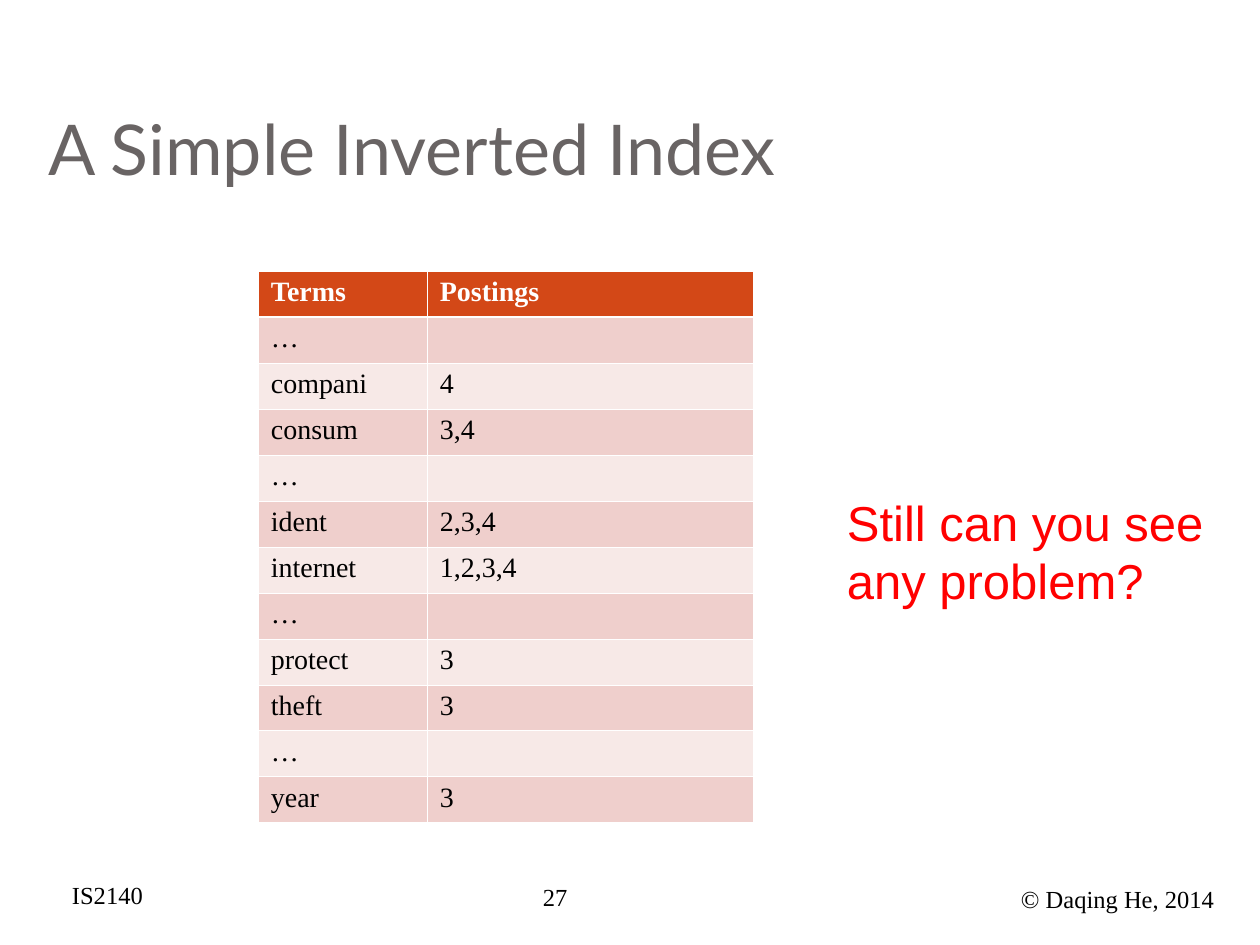
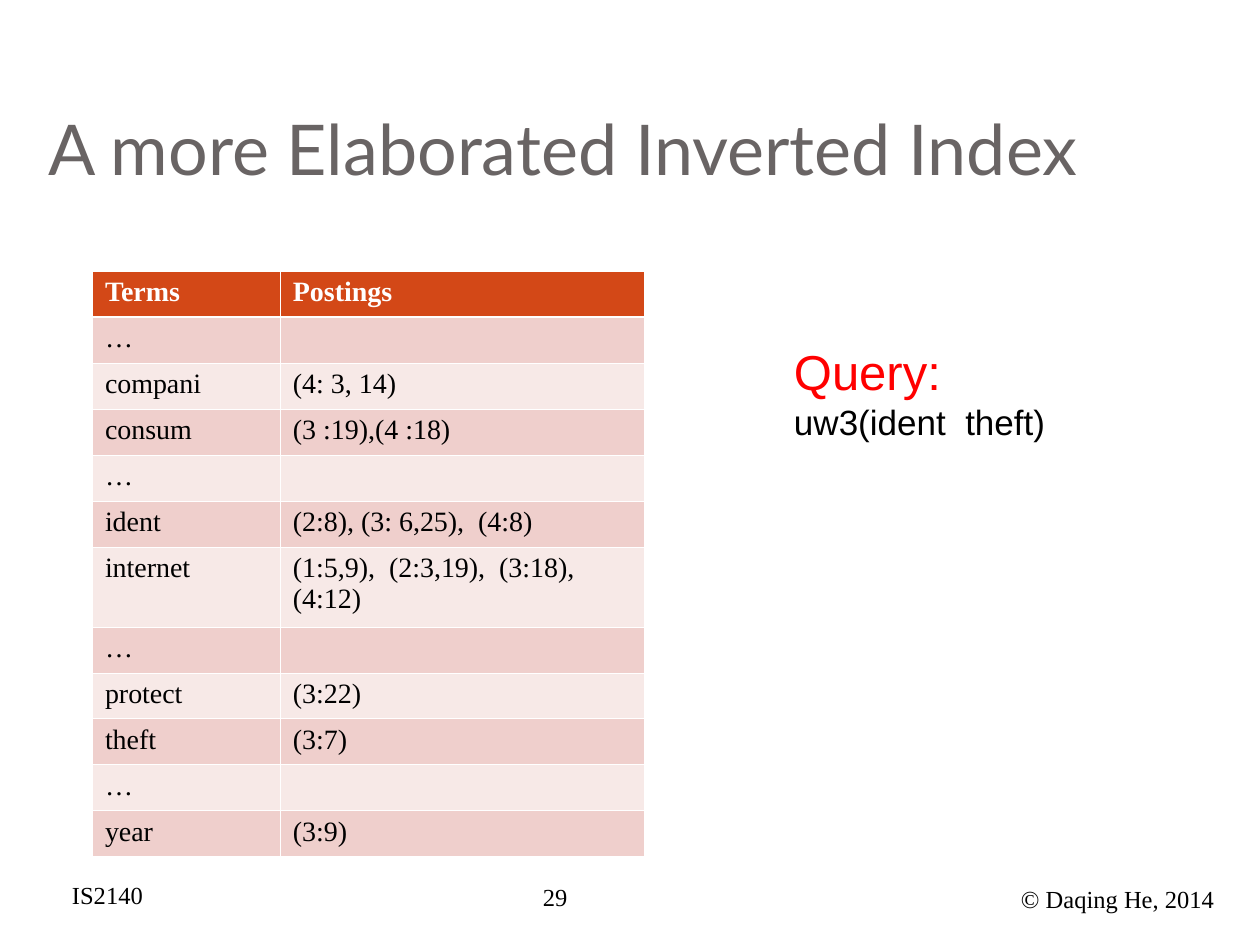
from itertools import cycle

from lxml.etree import SubElement
from pptx import Presentation
from pptx.dml.color import RGBColor
from pptx.enum.text import MSO_ANCHOR
from pptx.oxml.ns import qn
from pptx.util import Emu, Pt

EMU_PER_PIXEL = 914400 / 126
SLIDE_WIDTH, SLIDE_HEIGHT = 1260, 945
PADDING_X, PADDING_Y = 13, 6

BLACK, WHITE, RED = "000000", "FFFFFF", "FF0000"
TITLE_GRAY, HEADER_ORANGE = "696464", "D34817"
BAND_COLORS = ("EFCFCC", "F7E9E7")
TITLE_FONT, SERIF, SANS = "Lato", "Times New Roman", "Arial"

TITLE_BOX = (35, 38, 1192, 157)
COURSE_BOX = (59, 874, 102, 43)
NUMBER_BOX = (530, 876, 147, 47)
COPYRIGHT_BOX = (1008, 878, 242, 43)

HEADINGS = ("Terms", "Postings")
TERMS = ("…", "compani", "consum", "…", "ident", "internet",
         "…", "protect", "theft", "…", "year")
TABLE_TOP = 271
ROW_HEIGHT, TALL_ROW_HEIGHT = 46, 80
THIN_LINE, THICK_LINE = 0.45, 1.47

SIMPLE_POSTINGS = {
    "compani": "4",
    "consum": "3,4",
    "ident": "2,3,4",
    "internet": "1,2,3,4",
    "protect": "3",
    "theft": "3",
    "year": "3",
}
POSITION_POSTINGS = {
    "compani": "(4: 3, 14)",
    "consum": "(3 :19),(4 :18)",
    "ident": "(2:8), (3: 6,25),  (4:8)",
    "internet": "(1:5,9),  (2:3,19),  (3:18), (4:12)",
    "protect": "(3:22)",
    "theft": "(3:7)",
    "year": "(3:9)",
}


def px(length):
    """Turn pixels into EMU."""
    return Emu(round(length * EMU_PER_PIXEL))


def color(value):
    """Turn a hex string into a colour."""
    return RGBColor.from_string(value)


def add_run(paragraph, text, size, font_name, text_color, bold=False):
    """Add one styled run to a paragraph."""
    run = paragraph.add_run()
    run.text = text
    run.font.size = Pt(size)
    run.font.name = font_name
    run.font.bold = bold
    run.font.color.rgb = color(text_color)


def set_margins(target):
    """Set the inner margins of a text frame or table cell."""
    target.margin_left = target.margin_right = px(PADDING_X)
    target.margin_top = target.margin_bottom = px(PADDING_Y)


def add_text(slide, box, lines, font_name, anchor=MSO_ANCHOR.TOP):
    """Add a text box with one paragraph per (text, size, colour) line."""
    frame = slide.shapes.add_textbox(*map(px, box)).text_frame
    frame.word_wrap = True
    frame.vertical_anchor = anchor
    set_margins(frame)
    for index, (text, size, text_color) in enumerate(lines):
        paragraph = frame.add_paragraph() if index else frame.paragraphs[0]
        add_run(paragraph, text, size, font_name, text_color)


def add_frame(slide, title, number):
    """Add the title and the three footer texts."""
    footers = ((NUMBER_BOX, number), (COURSE_BOX, "IS2140"),
               (COPYRIGHT_BOX, "© Daqing He, 2014"))
    for box, text in footers:
        add_text(slide, box, [(text, 14, BLACK)], SERIF)
    add_text(slide, TITLE_BOX, [(title, 40, TITLE_GRAY)], TITLE_FONT,
             MSO_ANCHOR.BOTTOM)


def set_borders(cell, top, bottom):
    """Draw white borders around a cell with the given top and bottom widths."""
    properties = cell._tc.get_or_add_tcPr()
    widths = {"L": THIN_LINE, "R": THIN_LINE, "T": top, "B": bottom}
    for position, (side, width) in enumerate(widths.items()):
        line = SubElement(properties, qn(f"a:ln{side}"), w=str(Pt(width)))
        fill = SubElement(line, qn("a:solidFill"))
        SubElement(fill, qn("a:srgbClr"), val=WHITE)
        properties.insert(position, line)


def fill_cell(cell, text, row, fill_color):
    """Fill one table cell and write its text."""
    set_margins(cell)
    cell.fill.solid()
    cell.fill.fore_color.rgb = color(fill_color)
    set_borders(cell, THICK_LINE if row == 1 else THIN_LINE,
                THICK_LINE if row == 0 else THIN_LINE)
    paragraph = cell.text_frame.paragraphs[0]
    if text:
        add_run(paragraph, text, 16, SERIF, BLACK if row else WHITE, row == 0)
    else:
        ending = SubElement(paragraph._p, qn("a:endParaRPr"), sz="1600")
        SubElement(ending, qn("a:latin"), typeface=SERIF)


def add_index_table(slide, left, column_widths, postings, tall_terms=()):
    """Add the table of terms and their postings."""
    rows = [HEADINGS] + [(term, postings.get(term, "")) for term in TERMS]
    heights = [TALL_ROW_HEIGHT if term in tall_terms else ROW_HEIGHT
               for term, _ in rows]
    table = slide.shapes.add_table(
        len(rows), len(HEADINGS), px(left), px(TABLE_TOP),
        px(sum(column_widths)), px(sum(heights))).table
    for column, width in zip(table.columns, column_widths):
        column.width = px(width)
    bands = cycle(BAND_COLORS)
    for row, (texts, height) in enumerate(zip(rows, heights)):
        table.rows[row].height = px(height)
        fill_color = next(bands) if row else HEADER_ORANGE
        for column, text in enumerate(texts):
            fill_cell(table.cell(row, column), text, row, fill_color)


def add_simple_index(slide):
    """Build the slide with document numbers only."""
    add_frame(slide, "A Simple Inverted Index", "27")
    add_index_table(slide, 258, (169, 326), SIMPLE_POSTINGS)
    add_text(slide, (834, 486, 394, 131),
             [("Still can you see", 28, RED), ("any problem?", 28, RED)], SANS)


def add_elaborated_index(slide):
    """Build the slide with document numbers and word positions."""
    add_frame(slide, "A more Elaborated Inverted Index", "29")
    add_index_table(slide, 92, (188, 364), POSITION_POSTINGS, ("internet",))
    add_text(slide, (781, 336, 286, 156),
             [("Query:", 28, RED), ("uw3(ident  theft)", 20, BLACK)], SANS)


def main():
    """Build and save the presentation."""
    presentation = Presentation()
    presentation.slide_width = px(SLIDE_WIDTH)
    presentation.slide_height = px(SLIDE_HEIGHT)
    for build in (add_simple_index, add_elaborated_index):
        build(presentation.slides.add_slide(presentation.slide_layouts[6]))
    presentation.save("out.pptx")


if __name__ == "__main__":
    main()
